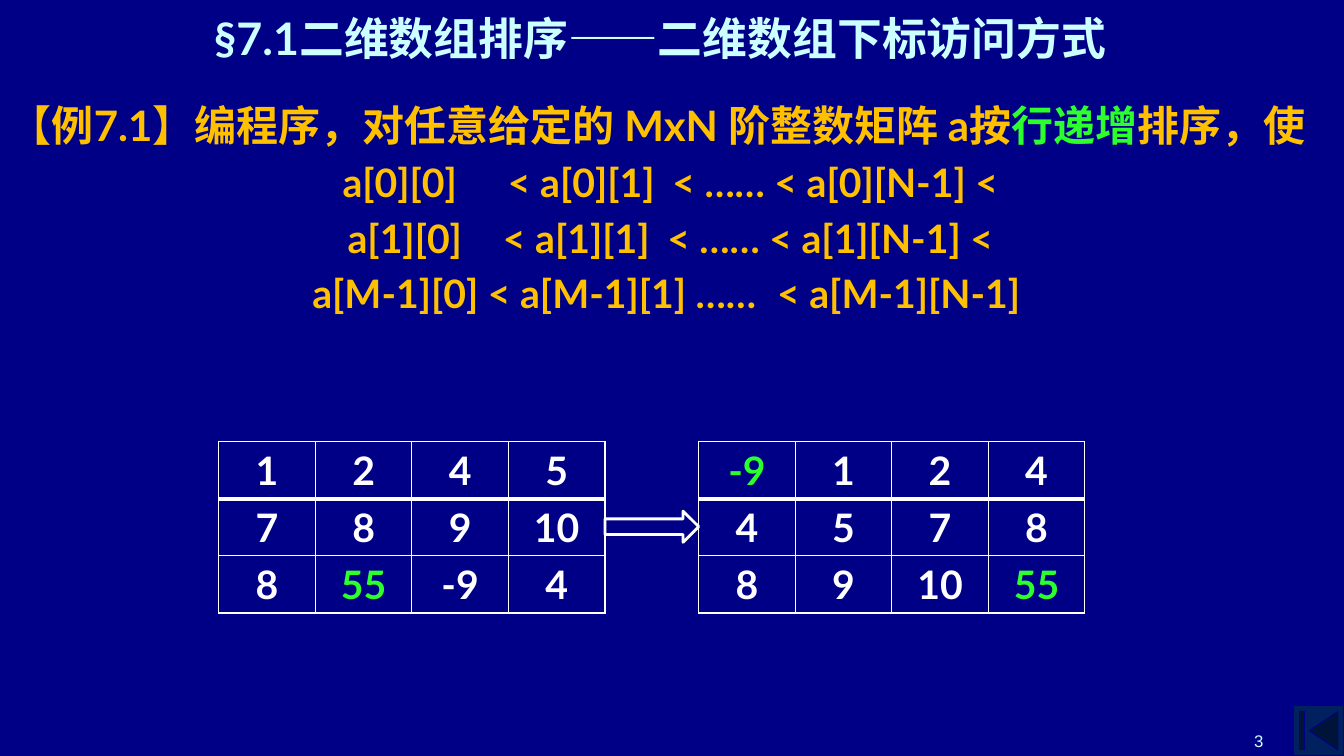
from lxml.etree import SubElement
from pptx import Presentation
from pptx.dml.color import RGBColor
from pptx.enum.shapes import MSO_SHAPE as Shape
from pptx.enum.text import MSO_ANCHOR as Anchor, MSO_AUTO_SIZE as AutoSize, PP_ALIGN as Align
from pptx.oxml.ns import qn
from pptx.util import Inches, Pt

NAVY, WHITE, GOLD, GREEN, PALE = "000086", "FFFFFF", "FFC000", "2CFF2C", "CCFFFF"


def color(value):
    return RGBColor.from_string(value)


def add_span(para, text, size, tint, bold=True, name="Lato"):
    span = para.add_run()
    span.text = text
    span.font.size = Pt(size)
    span.font.bold = bold
    span.font.name = name
    span.font.color.rgb = color(tint)


deck = Presentation()
deck.slide_width = Inches(13.33)
deck.slide_height = Inches(7.5)
page = deck.slides.add_slide(deck.slide_layouts[5])
page.background.fill.solid()
page.background.fill.fore_color.rgb = color(NAVY)

button = page.shapes.add_shape(Shape.ACTION_BUTTON_BEGINNING, Inches(12.83), Inches(7), Inches(0.5), Inches(0.5))
button.shadow.inherit = False
button.fill.solid()
button.fill.fore_color.rgb = color("002060")
button.line.color.rgb = color(NAVY)
button.line.width = Pt(0.75)

number = page.shapes.add_textbox(Inches(10.3), Inches(7), Inches(2.33), Inches(0.5)).text_frame
number.word_wrap = True
number.vertical_anchor = Anchor.BOTTOM
number.paragraphs[0].alignment = Align.RIGHT
add_span(number.paragraphs[0], "3", 12, PALE, False, "Arial")

title = page.shapes.title
title.left, title.top = Inches(1.63), Inches(-0.01)
title.width, title.height = Inches(9.84), Inches(0.77)
title.text_frame.auto_size = AutoSize.NONE
title.text_frame.vertical_anchor = Anchor.MIDDLE
para = title.text_frame.paragraphs[0]
para.alignment = Align.CENTER
add_span(para, "§7.1二维数组排序——二维数组下标访问方式", 32, PALE)

task = page.shapes.add_textbox(0, Inches(0.94), deck.slide_width, Inches(2.3)).text_frame
task.word_wrap = True
para = task.paragraphs[0]
add_span(para, "【例7.1】编程序，对任意给定的 MxN 阶整数矩阵 a按", 30, GOLD)
add_span(para, "行递增", 30, GREEN)
add_span(para, "排序，使", 30, GOLD)

order_lines = [
    ("\ta[0][0]\t< a[0][1]\t< …… < a[0][N-1] <", (3.3, 4.94, 6.57)),
    ("\ta[1][0]\t< a[1][1]\t< …… < a[1][N-1] <", (3.35, 4.89, 6.52)),
    ("\ta[M-1][0] < a[M-1][1] ……\t< a[M-1][N-1]", (3, 7.61)),
]
for text, stops in order_lines:
    para = task.add_paragraph()
    tabs = SubElement(para._p.get_or_add_pPr(), qn("a:tabLst"))
    for stop in stops:
        SubElement(tabs, qn("a:tab"), pos=str(Inches(stop)), algn="l")
    para.space_before = Pt(6)
    add_span(para, text, 28, GOLD)

arrow = page.shapes.add_shape(Shape.RIGHT_ARROW, Inches(6), Inches(5.07), Inches(0.93), Inches(0.31))
arrow.shadow.inherit = False
arrow.fill.background()
arrow.line.color.rgb = color(WHITE)
arrow.line.width = Pt(2)

matrices = [
    (2.17, [["1", "2", "4", "5"], ["7", "8", "9", "10"], ["8", "55", "-9", "4"]], {(2, 1)}),
    (6.93, [["-9", "1", "2", "4"], ["4", "5", "7", "8"], ["8", "9", "10", "55"]], {(0, 0), (2, 3)}),
]
for left, values, marked in matrices:
    table = page.shapes.add_table(3, 4, Inches(left), Inches(4.38), Inches(3.83), Inches(1.7)).table
    table.first_row = False
    table.horz_banding = False
    for r, row in enumerate(values):
        for c, value in enumerate(row):
            cell = table.cell(r, c)
            para = cell.text_frame.paragraphs[0]
            para.alignment = Align.CENTER
            add_span(para, value, 28, GREEN if (r, c) in marked else WHITE)
            borders = cell._tc.get_or_add_tcPr()
            for side in ("lnL", "lnR", "lnT", "lnB"):
                thick = (r, side) in ((0, "lnB"), (1, "lnT"))
                line = SubElement(borders, qn("a:" + side), w=str(Pt(3 if thick else 1)))
                SubElement(SubElement(line, qn("a:solidFill")), qn("a:srgbClr"), val=WHITE)
            cell.fill.background()

deck.save("out.pptx")
